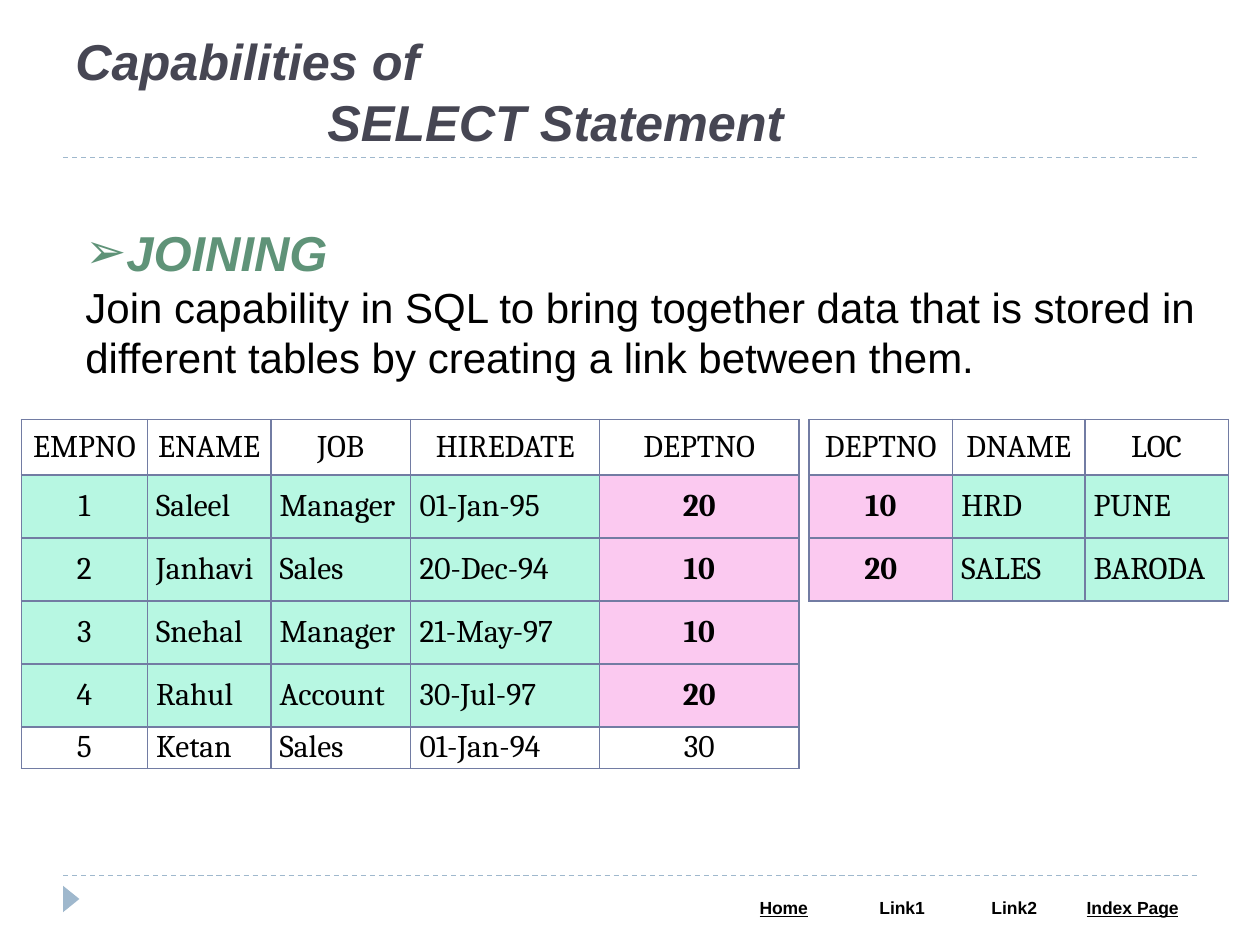
from lxml import etree
from pptx import Presentation, util as u
from pptx.dml.color import RGBColor
from pptx.enum import dml, shapes, text
from pptx.oxml.ns import qn

THEME = {
    "title": "464653", "heading": "5F9378", "ink": "000000", "paper": "FFFFFF",
    "rule": "9FB8CD", "border": "727CA3", "mint": "B7F7E2", "pink": "FBC9F0",
    "sans": "Arial", "serif": "Cambria",
    "title_size": 28.8, "heading_size": 28, "body_size": 24,
    "cell_size": 18, "link_size": 10,
}
WIDTH, HEIGHT = 10, 7.5
MARGIN = 0.5

TITLE = ["Capabilities of", "SELECT Statement"]
HEADING = "JOINING"
BODY = ("Join capability in SQL to bring together data that is stored in "
        "different tables by creating a link between them.")
LINKS = [("Home", True), ("Link1", False), ("Link2", False), ("Index Page", True)]
LINK_COLUMNS = [0.94, 0.94, 0.84, 1.04]

# key: the joined column; centred: columns centred below the header;
# matched: the number of body rows that take part in the join
TABLES = [
    {"left": 0.17, "columns": [1, 0.98, 1.11, 1.5, 1.58],
     "rows": [0.44, 0.5, 0.5, 0.5, 0.5, 0.33],
     "key": 4, "centred": (0, 4), "matched": 4,
     "cells": [
         ["EMPNO", "ENAME", "JOB", "HIREDATE", "DEPTNO"],
         ["1", "Saleel", "Manager", "01-Jan-95", "20"],
         ["2", "Janhavi", "Sales", "20-Dec-94", "10"],
         ["3", "Snehal", "Manager", "21-May-97", "10"],
         ["4", "Rahul", "Account", "30-Jul-97", "20"],
         ["5", "Ketan", "Sales", "01-Jan-94", "30"]]},
    {"left": 6.42, "columns": [1.14, 1.05, 1.14], "rows": [0.44, 0.5, 0.5],
     "key": 0, "centred": (0,), "matched": 2,
     "cells": [
         ["DEPTNO", "DNAME", "LOC"],
         ["10", "HRD", "PUNE"],
         ["20", "SALES", "BARODA"]]},
]
TABLE_TOP = 3.33


def rgb(name):
    return RGBColor.from_string(THEME[name])


def write(paragraph, content, size, color="ink", face="sans", bold=False,
          italic=False, underline=False, centred=False):
    paragraph.alignment = text.PP_ALIGN.CENTER if centred else text.PP_ALIGN.LEFT
    run = paragraph.add_run()
    run.text = content
    font = run.font
    font.name, font.size = THEME[face], u.Pt(THEME[size])
    font.bold, font.italic, font.underline = bold, italic, underline
    font.color.rgb = rgb(color)


def add_text_frame(slide, left, top, width, height):
    frame = slide.shapes.add_textbox(*map(u.Inches, (left, top, width, height))).text_frame
    frame.word_wrap = True
    return frame


def add_rule(slide, top):
    line = slide.shapes.add_connector(
        shapes.MSO_CONNECTOR.STRAIGHT, u.Inches(MARGIN), u.Inches(top),
        u.Inches(WIDTH - MARGIN), u.Inches(top))
    line.line.color.rgb = rgb("rule")
    line.line.width = u.Pt(0.75)
    line.line.dash_style = dml.MSO_LINE.DASH
    etree.SubElement(line._element.spPr, qn("a:effectLst"))


def add_grid(slide, left, top, columns, rows):
    """Add a table with no banding, sized by its columns and rows."""
    table = slide.shapes.add_table(
        len(rows), len(columns), u.Inches(left), u.Inches(top),
        u.Inches(sum(columns)), u.Inches(sum(rows))).table
    table.first_row = table.horz_banding = False
    for column, width in zip(table.columns, columns):
        column.width = u.Inches(width)
    for row, height in zip(table.rows, rows):
        row.height = u.Inches(height)
    return table


def outline(cell, color):
    """Draw all four borders; they precede the fill in the cell's XML."""
    properties = cell._tc.get_or_add_tcPr()
    for index, side in enumerate(("lnL", "lnR", "lnT", "lnB")):
        border = etree.Element(qn("a:" + side), w=str(u.Pt(1)))
        fill = etree.SubElement(border, qn("a:solidFill"))
        etree.SubElement(fill, qn("a:srgbClr"), val=THEME[color])
        properties.insert(index, border)


def add_data_table(slide, data):
    table = add_grid(slide, data["left"], TABLE_TOP, data["columns"], data["rows"])
    for row, values in enumerate(data["cells"]):
        matched = 1 <= row <= data["matched"]
        for column, value in enumerate(values):
            cell = table.cell(row, column)
            is_key = matched and column == data["key"]
            cell.vertical_anchor = text.MSO_ANCHOR.MIDDLE
            cell.margin_left = cell.margin_right = u.Inches(0.07)
            cell.margin_top = cell.margin_bottom = 0
            if matched:
                cell.fill.solid()
                cell.fill.fore_color.rgb = rgb("pink" if is_key else "mint")
            else:
                cell.fill.background()
            outline(cell, "border")
            write(cell.text_frame.paragraphs[0], value, "cell_size", face="serif",
                  bold=is_key, centred=row == 0 or column in data["centred"])


def add_title(slide):
    frame = add_text_frame(slide, MARGIN, 0.25, WIDTH - 2 * MARGIN, 1)
    frame.vertical_anchor = text.MSO_ANCHOR.BOTTOM
    first, second = frame.paragraphs[0], frame.add_paragraph()
    second._p.get_or_add_pPr().set("marL", str(u.Inches(2)))
    for paragraph, line in zip((first, second), TITLE):
        write(paragraph, line, "title_size", color="title", bold=True, italic=True)


def add_body(slide):
    frame = add_text_frame(slide, 0.58, 1.25, 9.17, 2.66)
    frame.auto_size = text.MSO_AUTO_SIZE.SHAPE_TO_FIT_TEXT
    heading = frame.paragraphs[0]
    heading.line_spacing = 2.0
    properties = heading._p.get_or_add_pPr()
    etree.SubElement(properties, qn("a:buFont"), typeface=THEME["sans"])
    etree.SubElement(properties, qn("a:buChar"), char="➢")
    write(heading, HEADING, "heading_size", color="heading", bold=True, italic=True)
    write(frame.add_paragraph(), BODY, "body_size")


def add_footer(slide):
    table = add_grid(slide, 5.75, 7.08, LINK_COLUMNS, [0.27])
    for cell, (label, underline) in zip(table.rows[0].cells, LINKS):
        cell.fill.solid()
        cell.fill.fore_color.rgb = rgb("paper")
        write(cell.text_frame.paragraphs[0], label, "link_size", bold=True,
              underline=underline, centred=True)
    marker = slide.shapes.add_shape(
        shapes.MSO_SHAPE.ISOSCELES_TRIANGLE, *map(u.Inches, (0.46, 7.07, 0.21, 0.13)))
    marker.rotation = 90
    marker.shadow.inherit = False
    marker.fill.solid()
    marker.fill.fore_color.rgb = rgb("rule")
    marker.line.fill.background()


def main():
    presentation = Presentation()
    presentation.slide_width = u.Inches(WIDTH)
    presentation.slide_height = u.Inches(HEIGHT)
    slide = presentation.slides.add_slide(presentation.slide_layouts[6])
    for top in (6.95, 1.25):
        add_rule(slide, top)
    add_footer(slide)
    add_title(slide)
    add_body(slide)
    for data in TABLES:
        add_data_table(slide, data)
    presentation.save("out.pptx")


if __name__ == "__main__":
    main()
